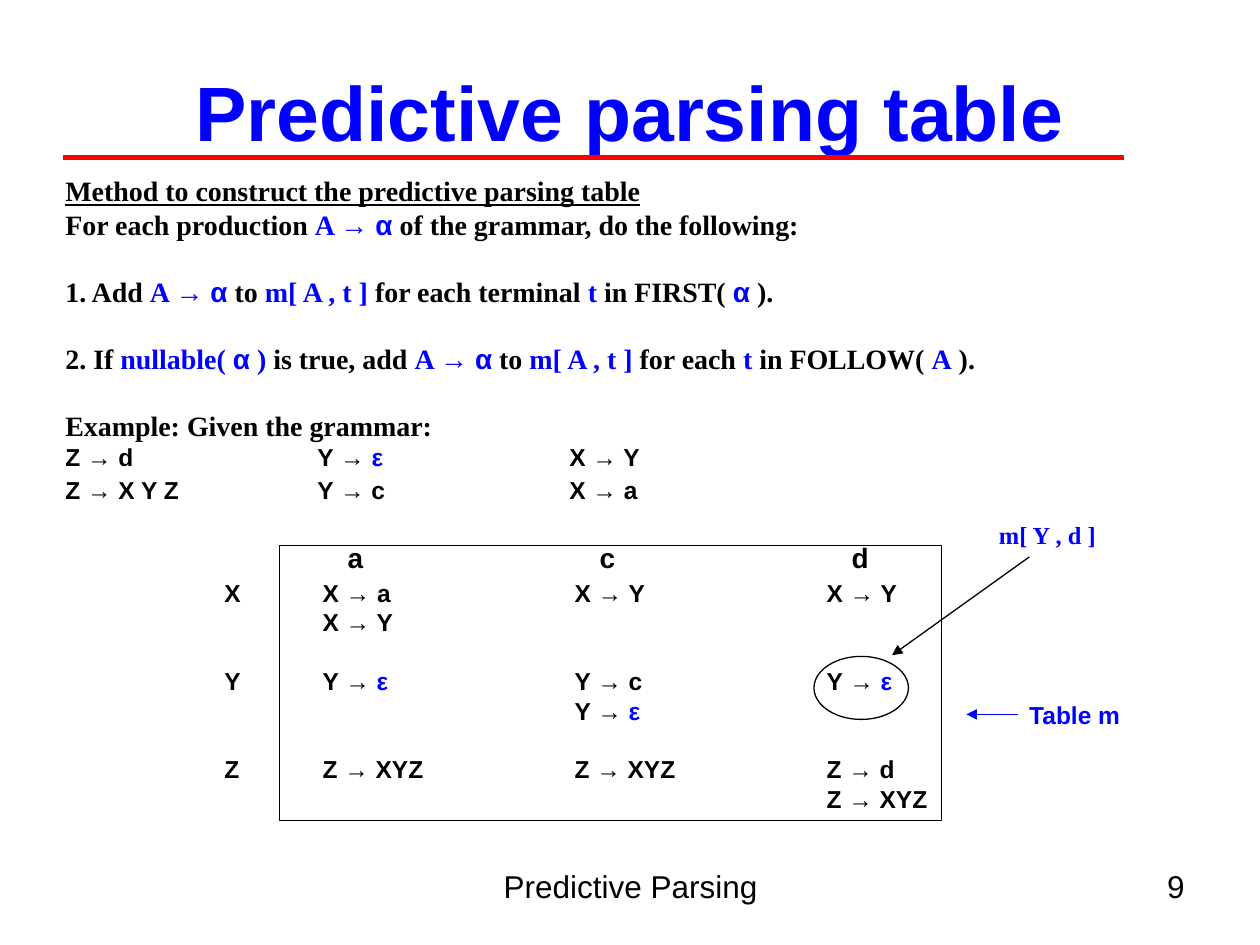
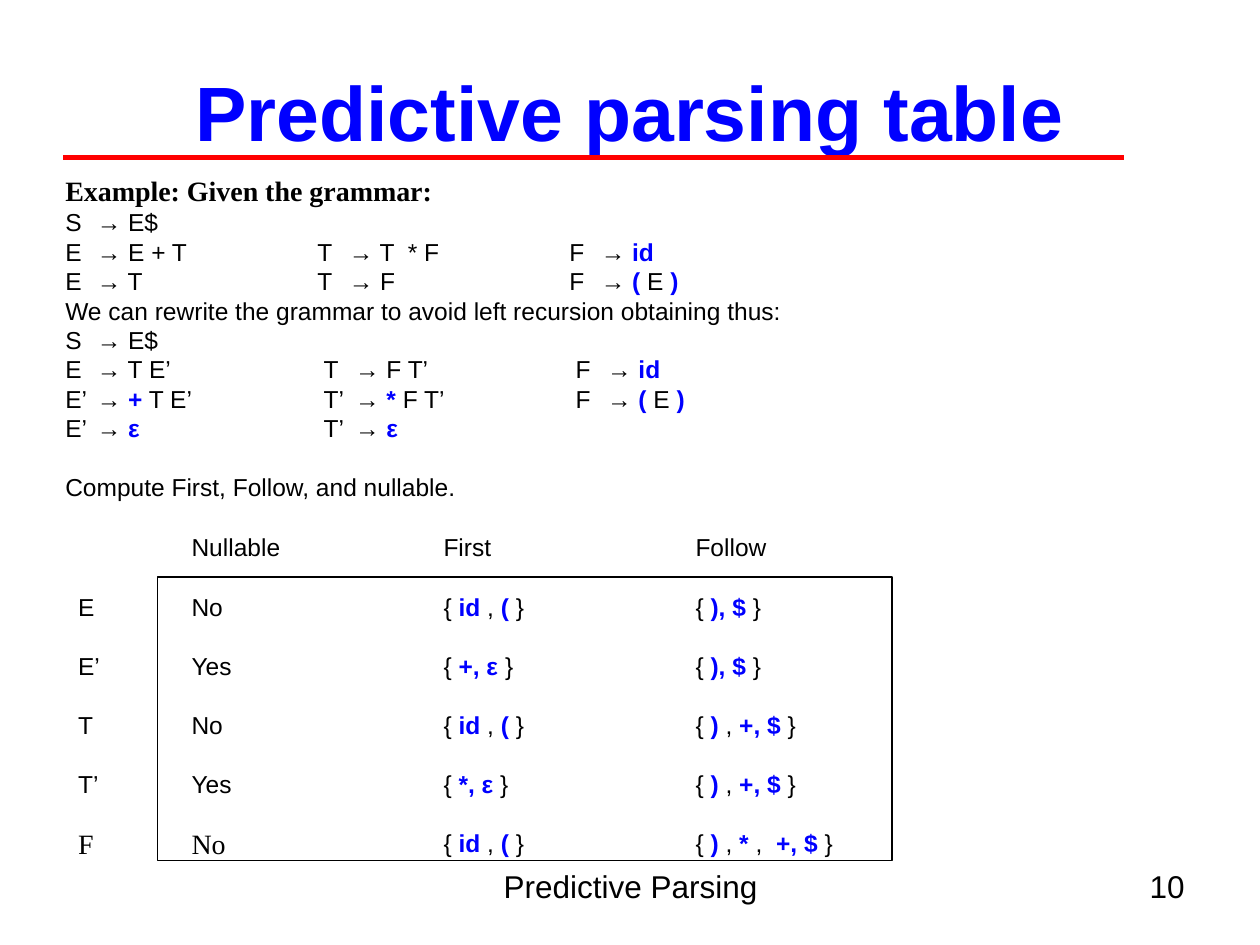
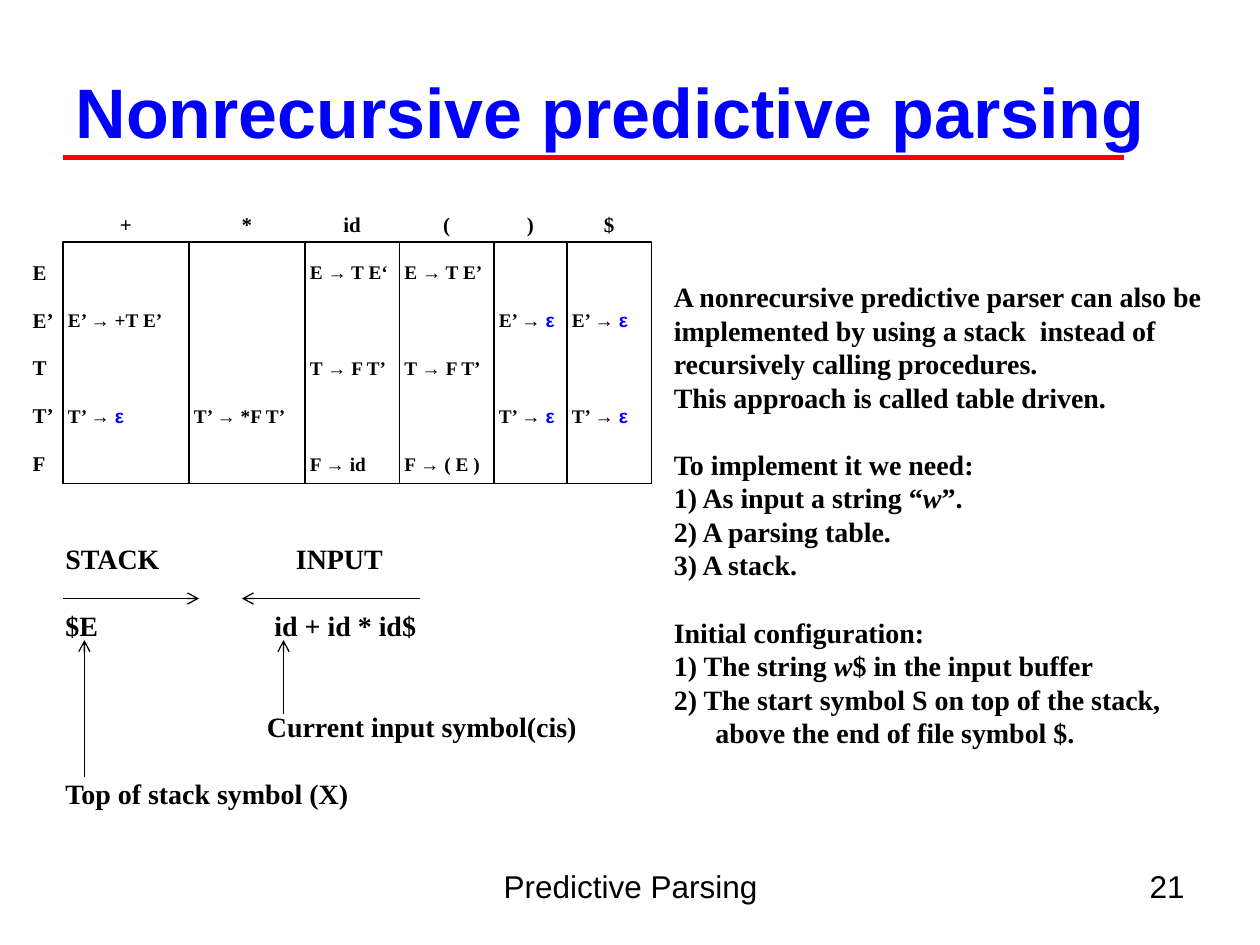
"""Build three slides on predictive parsing tables."""
from itertools import accumulate, groupby

from pptx import Presentation
from pptx.dml.color import RGBColor
from pptx.enum.shapes import MSO_CONNECTOR, MSO_SHAPE
from pptx.enum.text import MSO_ANCHOR, MSO_AUTO_SIZE, PP_ALIGN
from pptx.oxml.ns import qn
from pptx.util import Inches, Pt
from lxml.etree import SubElement

BLACK, BLUE, RED = "000000", "0000FF", "FF0000"
SANS, SERIF = "Arial", "Times New Roman"
GREEK = "αε"
LEADING = 1.2
PLAIN_TABLE = "{2D5ABB26-0587-4C30-8999-92F81FD0307C}"
FOOTER = "Predictive Parsing"

# In all texts, |...| marks blue bold and _..._ marks italic.
GRAMMAR = dict(size=14, font=SANS, tabs=(2, 4))
METHOD = [
    ("Method to construct the predictive parsing table", dict(underline=True)),
    "For each production |A → α| of the grammar, do the following:",
    ("1. Add |A → α| to |m[ A , t ]| for each terminal |t| in FIRST( |α| ).", dict(gap=1)),
    ("2. If |nullable( α )| is true, add |A → α| to |m[ A , t ]| for each |t| in FOLLOW( |A| ).",
     dict(gap=1)),
    ("Example: Given the grammar:", dict(gap=1)),
    ("Z → d\tY → |ε|\tX → Y", GRAMMAR),
    ("Z → X Y Z\tY → c\tX → a", GRAMMAR | dict(gap=0.12)),
]
TABLE_M = [
    ["", "a", "c", "d"],
    ["X", "X → a\nX → Y", "X → Y", "X → Y"],
    ["Y", "Y → |ε|", "Y → c\nY → |ε|", "Y → |ε|"],
    ["Z", "Z → XYZ", "Z → XYZ", "Z → d\nZ → XYZ"],
]

FIRST_TABS = dict(tabs=(0.25, 2, 2.25, 4, 4.25))
REWRITTEN_TABS = dict(tabs=(0.25, 2.05, 2.3, 4.05, 4.3))
EXPRESSIONS = [
    ("Example: Given the grammar:", dict(size=16, font=SERIF, bold=True)),
    ("S\t→ E$", FIRST_TABS),
    ("E\t→ E + T\tT\t→ T  * F\tF\t→ |id|", FIRST_TABS),
    ("E\t→ T\tT\t→ F\tF\t→ |(| E |)|", FIRST_TABS),
    "We can rewrite the grammar to avoid left recursion obtaining thus:",
    ("S\t→ E$", REWRITTEN_TABS),
    ("E\t→ T E’\tT\t→ F T’\tF\t→ |id|", REWRITTEN_TABS),
    ("E’\t→ |+| T E’\tT’\t→ |*| F T’\tF\t→ |(| E |)|", REWRITTEN_TABS),
    ("E’\t→ |ε|\tT’\t→ |ε|", REWRITTEN_TABS),
    ("Compute First, Follow, and nullable.", dict(gap=1)),
]
SETS = [
    ["", "Nullable", "First", "Follow"],
    ["E", "No", "{ |id| , |(| }", "{ |), $| }"],
    ["E’", "Yes", "{ |+, ε| }", "{ |), $| }"],
    ["T", "No", "{ |id| , |(| }", "{ |)| , |+, $| }"],
    ["T’", "Yes", "{ |*, ε| }", "{ |)| , |+, $| }"],
    ["F", "No", "{ |id| , |(| }", "{ |)| , |*| ,  |+, $| }"],
]

PARSE_TABLE = [
    ["", "+", "*", "id", "(", ")", "$"],
    ["E", "", "", "E → T E‘", "E → T E’", "", ""],
    ["E’", "E’ → +T E’", "", "", "", "E’ → |ε|", "E’ → |ε|"],
    ["T", "", "", "T → F T’", "T → F T’", "", ""],
    ["T’", "T’ → |ε|", "T’ → *F T’", "", "", "T’ → |ε|", "T’ → |ε|"],
    ["F", "", "", "F → id", "F → ( E )", "", ""],
]
APPROACH = [
    "A nonrecursive predictive parser can also be",
    "implemented by using a stack  instead of",
    "recursively calling procedures.",
    "This approach is called table driven.",
]
NEEDS = [
    "To implement it we need:",
    "1) As input a string “_w_”.",
    "2) A parsing table.",
    "3) A stack.",
    ("Initial configuration:", dict(gap=1)),
    "1) The string _w_$ in the input buffer",
    "2) The start symbol S on top of the stack,",
    ("\tabove the end of file symbol $.", dict(tabs=(0.33,))),
]
CONFIGURATION = [
    ("STACK\tINPUT", dict(tabs=(1.83,))),
    ("$E\tid + id * id$", dict(tabs=(1.66,), gap=1)),
    ("\tCurrent input symbol(cis)", dict(tabs=(1.6,), gap=2)),
    ("Top of stack symbol (X)", dict(gap=1)),
]
POINTERS = [
    ((0.5, 4.75), (1.58, 4.75)),
    ((3.33, 4.75), (1.92, 4.75)),
    ((0.67, 6.17), (0.67, 5.08)),
    ((2.25, 5.67), (2.25, 5.08)),
]


def rgb(color):
    """Turn a hex string into a colour."""
    return RGBColor.from_string(color)


def write_paragraph(paragraph, markup, size=16, font=SERIF, color=BLACK, bold=False,
                    underline=False, align=PP_ALIGN.LEFT, gap=0, tabs=()):
    """Fill a paragraph with marked-up text in the given format."""
    paragraph.alignment = align
    paragraph.line_spacing = Pt(LEADING * size)
    paragraph.space_before = Pt(gap * LEADING * size)
    paragraph.space_after = Pt(0)
    if tabs:
        stops = SubElement(paragraph._p.get_or_add_pPr(), qn("a:tabLst"))
        for stop in tabs:
            SubElement(stops, qn("a:tab"), pos=str(Inches(stop)), algn="l")
    for i, part in enumerate(markup.split("|")):
        accent = i % 2 == 1
        for j, piece in enumerate(part.split("_")):
            for greek, letters in groupby(piece, lambda letter: letter in GREEK):
                run = paragraph.add_run()
                run.text = "".join(letters)
                run.font.size = Pt(size)
                run.font.name = SANS if greek else font
                run.font.bold = bold or accent
                run.font.italic = j % 2 == 1
                run.font.underline = underline
                run.font.color.rgb = rgb(BLUE if accent else color)


def write_text(frame, lines, **style):
    """Write lines, each with optional changes to the shared format."""
    frame.word_wrap = True
    for i, line in enumerate(lines):
        markup, changes = (line, {}) if isinstance(line, str) else line
        paragraph = frame.add_paragraph() if i else frame.paragraphs[0]
        write_paragraph(paragraph, markup, **(style | changes))


def add_text(slide, box, lines, **style):
    """Add a text box."""
    write_text(slide.shapes.add_textbox(*map(Inches, box)).text_frame, lines, **style)


def add_line(slide, start, end, color=BLACK, width=0.75, arrow=None):
    """Add a straight line with an optional arrowhead at its end."""
    line = slide.shapes.add_connector(MSO_CONNECTOR.STRAIGHT, *map(Inches, start + end))
    line.line.color.rgb = rgb(color)
    line.line.width = Pt(width)
    if arrow:
        SubElement(line.line._get_or_add_ln(), qn("a:tailEnd"), type=arrow)
    SubElement(line._element.spPr, qn("a:effectLst"))


def add_outline(slide, kind, box):
    """Add an unfilled shape with a thin black outline."""
    shape = slide.shapes.add_shape(kind, *map(Inches, box))
    shape.shadow.inherit = False
    shape.fill.background()
    shape.line.color.rgb = rgb(BLACK)
    shape.line.width = Pt(0.75)


def add_grid(slide, rows, corner, widths, heights, style, header=None, labels=None,
             special=None, inset=0, header_inset=0, anchor=MSO_ANCHOR.MIDDLE):
    """Add a plain table with its own formats for header row and label column."""
    size = (sum(widths), sum(heights))
    graphic = slide.shapes.add_table(len(rows), len(widths), *map(Inches, corner + size))
    table = graphic.table
    table.first_row = table.horz_banding = False
    table._tbl.tblPr.find(qn("a:tableStyleId")).text = PLAIN_TABLE
    for column, width in zip(table.columns, widths):
        column.width = Inches(width)
    for r, (row, height) in enumerate(zip(rows, heights)):
        table.rows[r].height = Inches(height)
        for c, content in enumerate(row):
            cell = table.cell(r, c)
            cell.fill.background()
            cell.vertical_anchor = anchor
            cell.margin_top = cell.margin_bottom = cell.margin_right = 0
            cell.margin_left = Inches(0 if c == 0 else inset if r else header_inset)
            changes = (header if r == 0 else labels if c == 0 else None) or {}
            changes = changes | (special or {}).get((r, c), {})
            write_text(cell.text_frame, content.split("\n"), **(style | changes))


def add_slide(deck, title, number, size=44, align=PP_ALIGN.CENTER):
    """Add a slide with title, red rule and footer."""
    slide = deck.slides.add_slide(deck.slide_layouts[5])
    heading = slide.shapes.title
    heading.left, heading.top, heading.width, heading.height = map(Inches, (0.5, 0.25, 9, 1.25))
    heading.text_frame.vertical_anchor = MSO_ANCHOR.MIDDLE
    heading.text_frame.auto_size = MSO_AUTO_SIZE.NONE
    write_text(heading.text_frame, [title], size=size, font=SANS, color=BLUE, bold=True,
               align=align)
    add_line(slide, (0.5, 1.25), (8.92, 1.25), RED, 3)
    add_text(slide, (3.42, 6.83, 3.17, 0.52), [FOOTER], size=18, font=SANS,
             align=PP_ALIGN.CENTER)
    add_text(slide, (7.17, 6.83, 2.33, 0.52), [str(number)], size=18, font=SANS,
             align=PP_ALIGN.RIGHT)
    return slide


def build_method(deck):
    """Show how the table is constructed."""
    slide = add_slide(deck, "Predictive parsing table", 9)
    add_text(slide, (0.42, 1.33, 9.08, 2.75), METHOD, bold=True)
    add_grid(slide, TABLE_M, (1.78, 4.29), (0.78, 2, 2, 0.95), (0.27, 0.7, 0.7, 0.7),
             dict(size=14, font=SANS, bold=True), header=dict(size=16),
             header_inset=0.2, anchor=MSO_ANCHOR.TOP)
    add_outline(slide, MSO_SHAPE.RECTANGLE, (2.22, 4.33, 5.25, 2.18))
    add_outline(slide, MSO_SHAPE.OVAL, (6.46, 5.21, 0.75, 0.5))
    add_line(slide, (8.17, 4.42), (7.08, 5.2), arrow="triangle")
    add_text(slide, (7.83, 4.08, 1.2, 0.33), ["|m[ Y , d ]|"], size=14)
    add_text(slide, (8.07, 5.51, 1.1, 0.33), ["|Table m|"], size=14, font=SANS)
    add_line(slide, (8.08, 5.67), (7.67, 5.67), BLUE, arrow="triangle")


def build_sets(deck):
    """Show the nullable, First and Follow sets of a grammar."""
    slide = add_slide(deck, "Predictive parsing table", 10)
    sans = dict(size=14, font=SANS)
    serif = dict(size=16, font=SERIF)
    add_text(slide, (0.42, 1.33, 8.17, 2.75), EXPRESSIONS, **sans)
    add_grid(slide, SETS, (0.62, 4.11), (0.9, 2, 2, 1.5), [0.47] * len(SETS), sans,
             special={(5, 0): serif, (5, 1): serif})
    add_outline(slide, MSO_SHAPE.RECTANGLE, (1.25, 4.58, 5.83, 2.25))


def build_stack_parser(deck):
    """Show the table-driven parser."""
    slide = add_slide(deck, "Nonrecursive predictive parsing", 21, 40, PP_ALIGN.LEFT)
    left, top, width, height = frame = (0.5, 1.92, 4.67, 1.92)
    widths = (1, 0.92, 0.75, 0.75, 0.58, 0.67)
    add_grid(slide, PARSE_TABLE, (0.26, 1.59), (left - 0.26,) + widths,
             [0.38] * len(PARSE_TABLE), dict(size=11, bold=True),
             header=dict(size=12, align=PP_ALIGN.CENTER), labels=dict(size=12), inset=0.04)
    add_outline(slide, MSO_SHAPE.RECTANGLE, frame)
    for offset in accumulate(widths[:-1]):
        add_line(slide, (left + offset, top), (left + offset, top + height))
    add_text(slide, (5.25, 2.17, 4.5, 1.3), APPROACH, bold=True)
    add_text(slide, (5.25, 3.5, 4.5, 2.6), NEEDS, bold=True)
    add_text(slide, (0.42, 4.25, 4.75, 2.26), CONFIGURATION, bold=True)
    for start, end in POINTERS:
        add_line(slide, start, end, arrow="arrow")


def main():
    """Build and save the deck."""
    deck = Presentation()
    deck.slide_width, deck.slide_height = Inches(10), Inches(7.5)
    build_method(deck)
    build_sets(deck)
    build_stack_parser(deck)
    deck.save("out.pptx")


if __name__ == "__main__":
    main()
